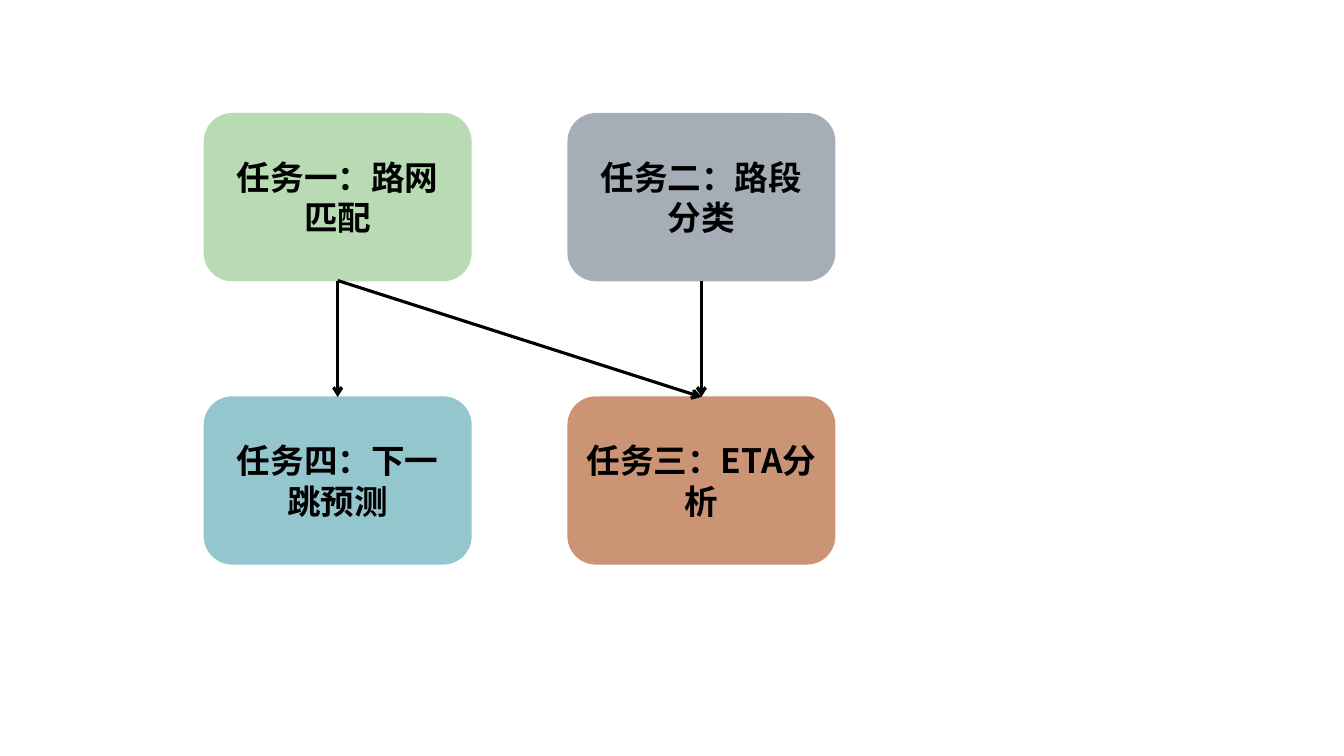
from lxml import etree
from pptx import Presentation
from pptx.dml.color import RGBColor
from pptx.enum import shapes, text
from pptx.oxml import ns
from pptx.util import Pt

FONT = "Noto Sans CJK SC"
BLACK = RGBColor(0x00, 0x00, 0x00)
GREEN = RGBColor(0xB8, 0xDB, 0xB3)
GRAY = RGBColor(0xA5, 0xAE, 0xB7)
BROWN = RGBColor(0xCB, 0x94, 0x75)
TEAL = RGBColor(0x94, 0xC6, 0xCD)

BOX_WIDTH, BOX_HEIGHT = 190.4, 119.2
GRID_LEFT, GRID_TOP = 146, 81.2
COLUMN_STEP, ROW_STEP = 259.8, 202.4
BOTTOM_SIDE, TOP_SIDE = 2, 0


def add_task(slide, label, color, column, row):
    shape = slide.shapes.add_shape(
        shapes.MSO_SHAPE.ROUNDED_RECTANGLE,
        Pt(GRID_LEFT + column * COLUMN_STEP), Pt(GRID_TOP + row * ROW_STEP),
        Pt(BOX_WIDTH), Pt(BOX_HEIGHT))
    shape.shadow.inherit = False
    shape.fill.solid()
    shape.fill.fore_color.rgb = color
    shape.line.color.rgb = color
    shape.line.width = Pt(1)

    frame = shape.text_frame
    frame.word_wrap = True
    frame.vertical_anchor = text.MSO_ANCHOR.MIDDLE
    paragraph = frame.paragraphs[0]
    paragraph.alignment = text.PP_ALIGN.CENTER
    run = paragraph.add_run()
    run.text = label
    run.font.size = Pt(24)
    run.font.bold = True
    run.font.color.rgb = BLACK
    run.font.name = FONT
    # Chinese characters take their font from the East Asian slot
    properties = run.font._element
    etree.SubElement(properties, ns.qn("a:ea"), typeface=FONT)
    return shape


def add_arrow(slide, source, target):
    """Join the bottom of source to the top of target."""
    connector = slide.shapes.add_connector(
        shapes.MSO_CONNECTOR.STRAIGHT, Pt(0), Pt(0), Pt(0), Pt(0))
    connector.begin_connect(source, BOTTOM_SIDE)
    connector.end_connect(target, TOP_SIDE)
    connector.line.color.rgb = BLACK
    connector.line.width = Pt(2.25)
    line = connector.line._get_or_add_ln()
    etree.SubElement(line, ns.qn("a:tailEnd"), type="arrow")
    etree.SubElement(connector._element.spPr, ns.qn("a:effectLst"))


def main():
    presentation = Presentation()
    presentation.slide_width = Pt(960)
    presentation.slide_height = Pt(540)
    slide = presentation.slides.add_slide(presentation.slide_layouts[6])

    matching = add_task(slide, "任务一：路网匹配", GREEN, 0, 0)
    classification = add_task(slide, "任务二：路段分类", GRAY, 1, 0)
    eta = add_task(slide, "任务三：ETA分析", BROWN, 1, 1)
    next_hop = add_task(slide, "任务四：下一跳预测", TEAL, 0, 1)

    add_arrow(slide, matching, next_hop)
    add_arrow(slide, classification, eta)
    add_arrow(slide, matching, eta)

    presentation.save("out.pptx")


if __name__ == "__main__":
    main()
